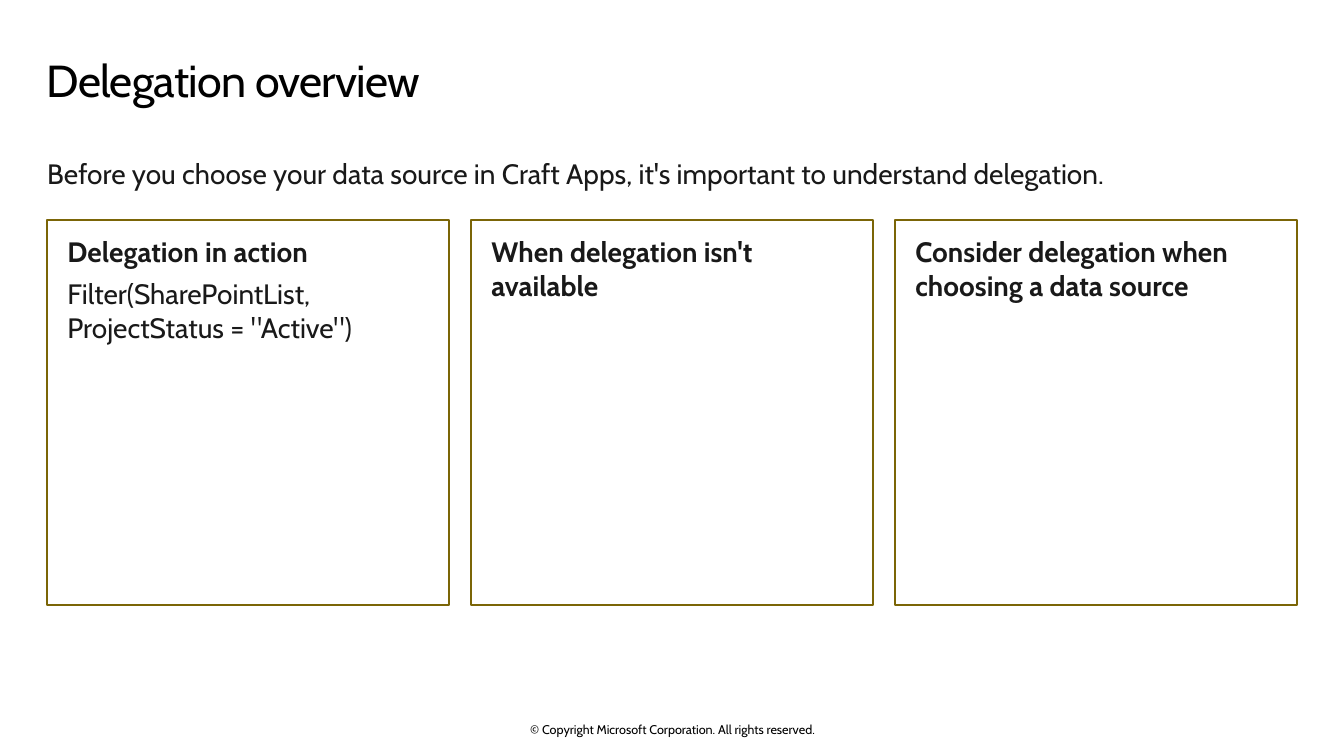
from pptx import Presentation
from pptx import util as u
from pptx.dml.color import RGBColor
from pptx.enum import shapes, text
from pptx.oxml import ns

TITLE = "Delegation overview"
INTRO = "Before you choose your data source in Craft Apps, it's important to understand delegation."
CARDS = [
    ("Delegation in action", 'Filter(SharePointList, ProjectStatus = "Active")'),
    ("When delegation isn't available",),
    ("Consider delegation when choosing a data source",),
]
COPYRIGHT = "© Copyright Microsoft Corporation. All rights reserved."

FONT = "Cabin"
BLACK = RGBColor(0x00, 0x00, 0x00)
INK = RGBColor(0x19, 0x19, 0x19)
OLIVE = RGBColor(0x7B, 0x65, 0x07)

MARGIN = 1.19
CONTENT_WIDTH = 31.5
CARD_WIDTH = 10.13
CARD_STEP = (CONTENT_WIDTH - CARD_WIDTH) / (len(CARDS) - 1)


def place(shape, left, top, width, height):
    shape.left, shape.top = u.Cm(left), u.Cm(top)
    shape.width, shape.height = u.Cm(width), u.Cm(height)


def write(shape, lines, size, color, insets=(0, 0, 0, 0),
          align=text.PP_ALIGN.LEFT, anchor=text.MSO_ANCHOR.TOP):
    frame = shape.text_frame
    frame.text = "\n".join(lines)
    frame.word_wrap = True
    frame.auto_size = text.MSO_AUTO_SIZE.NONE
    frame.vertical_anchor = anchor
    (frame.margin_left, frame.margin_top,
     frame.margin_right, frame.margin_bottom) = [u.Cm(inset) for inset in insets]
    for para in frame.paragraphs:
        para.alignment = align
        for span in para.runs:
            span.font.name = FONT
            span.font.size = u.Pt(size)
            span.font.color.rgb = color
    return frame.paragraphs


def add_text(page, area, *style, **options):
    box = page.shapes.add_textbox(*[u.Cm(length) for length in area])
    return write(box, *style, **options)


def add_title(page):
    title = page.shapes.title
    place(title, 1.17, 1.22, CONTENT_WIDTH, 1.88)
    para = write(title, [TITLE], 32, BLACK, (0, 0.25, 0.41, 0.25))[0]
    para.line_spacing = 0.9
    for properties in title.element.iter(ns.qn("a:rPr")):
        properties.set("spc", "-50")


def add_card(page, index, lines):
    card = page.shapes.add_shape(
        shapes.MSO_SHAPE.RECTANGLE, u.Cm(MARGIN + index * CARD_STEP), u.Cm(5.54),
        u.Cm(CARD_WIDTH), u.Cm(9.7))
    card.shadow.inherit = False
    card.fill.background()
    card.line.color.rgb = OLIVE
    card.line.width = u.Pt(1.5)
    paragraphs = write(card, lines, 20, INK, (0.51, 0.38, 0.51, 0.25))
    for para in paragraphs:
        para.space_after = u.Pt(6)
    paragraphs[0].runs[0].font.bold = True


def main():
    deck = Presentation()
    deck.slide_width, deck.slide_height = u.Cm(33.87), u.Cm(19.05)
    page = deck.slides.add_slide(deck.slide_layouts.get_by_name("Title Only"))
    add_title(page)
    intro = add_text(page, (MARGIN, 4.04, CONTENT_WIDTH, 1.5), [INTRO], 20, INK)
    intro[0].line_spacing = 0.9
    for index, lines in enumerate(CARDS):
        add_card(page, index, lines)
    add_text(page, (11.23, 18.19, 11.43, 0.38), [COPYRIGHT], 9, BLACK,
             align=text.PP_ALIGN.CENTER, anchor=text.MSO_ANCHOR.MIDDLE)
    deck.save("out.pptx")


if __name__ == "__main__":
    main()
